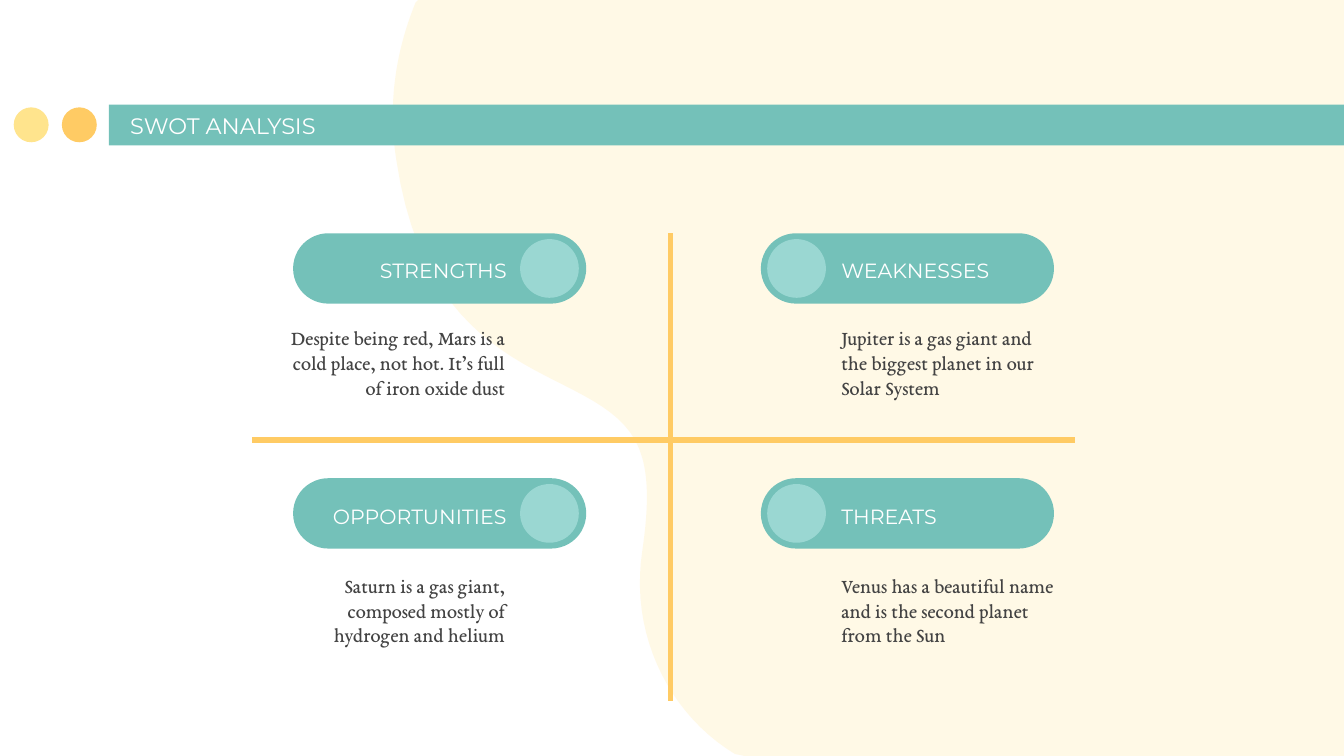
import pptx
import pptx.util
import pptx.dml.color
import pptx.enum.shapes
import pptx.enum.text
import pptx.oxml.ns
from lxml import etree
from pptx.util import Cm, Pt

RGBColor = pptx.dml.color.RGBColor
MSO_SHAPE = pptx.enum.shapes.MSO_SHAPE
PP_ALIGN = pptx.enum.text.PP_ALIGN
MSO_ANCHOR = pptx.enum.text.MSO_ANCHOR
qn = pptx.oxml.ns.qn

TEAL = RGBColor(0x74, 0xC1, 0xB9)
LIGHT_TEAL = RGBColor(0x9A, 0xD7, 0xD2)
ORANGE = RGBColor(0xFF, 0xCB, 0x64)
YELLOW = RGBColor(0xFF, 0xE4, 0x8D)
WHITE = RGBColor(0xFF, 0xFF, 0xFF)
GREY = RGBColor(0x43, 0x43, 0x43)

# Lengths in centimetres
SLIDE_W, SLIDE_H = 25.4, 14.29
PILL_W, PILL_H = 5.54, 1.33
KNOB = 1.11
LABEL_W, LABEL_H = 3.94, 0.86
DESCRIPTION_W, DESCRIPTION_H = 4.11, 1.57
INSET = 0.25

# Left edges: pill, knob, label, description; then the text alignment
LEFT_COLUMN = (5.54, 9.83, 5.89, 5.44, PP_ALIGN.RIGHT)
RIGHT_COLUMN = (14.38, 14.5, 15.65, 15.9, PP_ALIGN.LEFT)
# Top edges: pill, label, description
TOP_ROW = (4.41, 4.62, 6.12)
BOTTOM_ROW = (9.04, 9.27, 10.8)

QUADRANTS = [
    ("STRENGTHS", "Despite being red, Mars is a cold place, not hot. It’s full of iron oxide dust",
     LEFT_COLUMN, TOP_ROW),
    ("WEAKNESSES", "Jupiter is a gas giant and the biggest planet in our Solar System",
     RIGHT_COLUMN, TOP_ROW),
    ("OPPORTUNITIES", "Saturn is a gas giant, composed mostly of hydrogen and helium",
     LEFT_COLUMN, BOTTOM_ROW),
    ("THREATS", "Venus has a beautiful name and is the second planet from the Sun",
     RIGHT_COLUMN, BOTTOM_ROW),
]

# Wavy left edge of the background: start, then two controls and an end per curve
WAVE_START = (8.33, -0.89)
WAVE_CURVES = [
    ((7.65, 0.23), (7.26, 1.57), (7.49, 3.02)),
    ((8.18, 7.67), (11.63, 6.76), (12.14, 8.66)),
    ((12.27, 9.12), (12.24, 9.73), (12.14, 10.41)),
    ((11.79, 12.7), (13.49, 14.76), (15.7, 14.76)),
]
CURVE_STEPS = 30


def fill_plain(shape, color):
    shape.shadow.inherit = False
    shape.fill.solid()
    shape.fill.fore_color.rgb = color
    shape.line.fill.background()


def add_block(slide, kind, left, top, width, height, color):
    block = slide.shapes.add_shape(kind, Cm(left), Cm(top), Cm(width), Cm(height))
    fill_plain(block, color)
    return block


def curve_point(start, control_1, control_2, end, t):
    u = 1 - t
    return tuple(u**3 * a + 3 * u * u * t * b + 3 * u * t * t * c + t**3 * d
                 for a, b, c, d in zip(start, control_1, control_2, end))


def add_wave(slide):
    points = [WAVE_START]
    for curve in WAVE_CURVES:
        start = points[-1]
        points += [curve_point(start, *curve, step / CURVE_STEPS)
                   for step in range(1, CURVE_STEPS + 1)]
    points += [(SLIDE_W, SLIDE_H), (SLIDE_W, 0)]
    # Keep the outline within the slide's height
    outline = [(Cm(x), Cm(min(max(y, 0), SLIDE_H))) for x, y in points]
    builder = slide.shapes.build_freeform(*outline[0], scale=1.0)
    builder.add_line_segments(outline[1:], close=True)
    wave = builder.convert_to_shape()
    fill_plain(wave, YELLOW)
    color = wave.element.spPr.find(qn("a:solidFill"))[0]
    etree.SubElement(color, qn("a:alpha"), val="21000")


def format_text(box, text, font, size, color, align, anchor, insets):
    frame = box.text_frame
    frame.word_wrap = True
    frame.auto_size = pptx.enum.text.MSO_AUTO_SIZE.NONE
    frame.vertical_anchor = anchor
    (frame.margin_left, frame.margin_top,
     frame.margin_right, frame.margin_bottom) = map(Cm, insets)
    frame.text = text
    paragraph = frame.paragraphs[0]
    paragraph.alignment = align
    run_font = paragraph.runs[0].font
    run_font.name = font
    run_font.size = Pt(size)
    run_font.color.rgb = color


def add_text(slide, left, top, width, height, *style):
    box = slide.shapes.add_textbox(Cm(left), Cm(top), Cm(width), Cm(height))
    format_text(box, *style)


def add_title(slide, text):
    title = slide.shapes.title
    title.left, title.top, title.width, title.height = map(Cm, (2.21, 2.01, 13.92, 0.86))
    format_text(title, text, "Montserrat", 12, WHITE, PP_ALIGN.LEFT,
                MSO_ANCHOR.BOTTOM, (INSET,) * 4)
    # Bring the title in front of its bar
    title.element.getparent().append(title.element)


def add_quadrant(slide, heading, description, column, row):
    pill_left, knob_left, label_left, description_left, align = column
    pill_top, label_top, description_top = row
    pill = add_block(slide, MSO_SHAPE.ROUNDED_RECTANGLE,
                     pill_left, pill_top, PILL_W, PILL_H, TEAL)
    pill.adjustments[0] = 0.5
    add_block(slide, MSO_SHAPE.OVAL, knob_left, pill_top + (PILL_H - KNOB) / 2,
              KNOB, KNOB, LIGHT_TEAL)
    add_text(slide, label_left, label_top, LABEL_W, LABEL_H,
             heading, "Montserrat", 11, WHITE, align, MSO_ANCHOR.TOP, (INSET,) * 4)
    add_text(slide, description_left, description_top, DESCRIPTION_W, DESCRIPTION_H,
             description, "EB Garamond", 11, GREY, align, MSO_ANCHOR.TOP, (0, 0.03, 0, 0))


def add_axis(slide, x1, y1, x2, y2):
    axis = slide.shapes.add_connector(pptx.enum.shapes.MSO_CONNECTOR.STRAIGHT,
                                      Cm(x1), Cm(y1), Cm(x2), Cm(y2))
    axis.line.color.rgb = ORANGE
    axis.line.width = Pt(3)
    etree.SubElement(axis.element.spPr, qn("a:effectLst"))


def main():
    deck = pptx.Presentation()
    deck.slide_width, deck.slide_height = Cm(SLIDE_W), Cm(SLIDE_H)
    slide = deck.slides.add_slide(deck.slide_layouts.get_by_name("Title Only"))

    # Background and title bar
    add_wave(slide)
    add_block(slide, MSO_SHAPE.RECTANGLE, 2.06, 1.98, SLIDE_W - 2.06, 0.77, TEAL)
    for left, color in ((1.17, ORANGE), (0.26, YELLOW)):
        add_block(slide, MSO_SHAPE.OVAL, left, 2.03, 0.66, 0.66, color)
    add_title(slide, "SWOT ANALYSIS")

    # Four quadrants and the cross between them
    for quadrant in QUADRANTS:
        add_quadrant(slide, *quadrant)
    add_axis(slide, 4.77, 8.32, 20.32, 8.32)
    add_axis(slide, 12.67, 4.41, 12.67, 13.25)

    deck.save("out.pptx")


if __name__ == "__main__":
    main()
